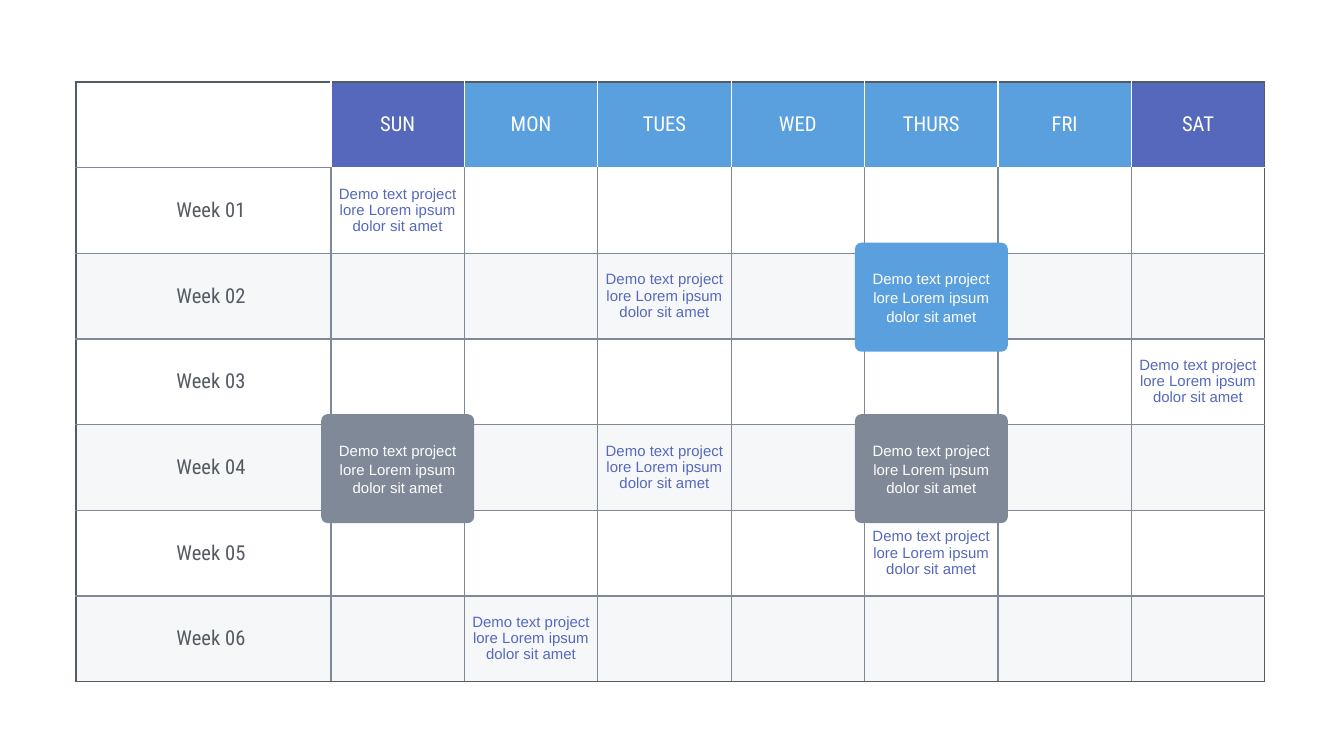
from lxml import etree
from pptx import Presentation
from pptx import util as u
from pptx.dml.color import RGBColor
from pptx.enum import shapes, text
from pptx.oxml.ns import qn

COLORS = {"weekend": "5568BC", "weekday": "5AA0DF", "gray": "7F8998",
          "dark": "545B63", "white": "FFFFFF", "band": "EEF0F4"}
DAYS = ["SUN", "MON", "TUES", "WED", "THURS", "FRI", "SAT"]
WEEKS = [f"Week {number:02}" for number in range(1, 7)]
DEMO = "Demo text project lore Lorem ipsum dolor sit amet"
# Keyed by (week, day), both counted from 1
EVENTS = {(1, 1): DEMO, (2, 3): DEMO, (3, 7): DEMO,
          (4, 3): DEMO, (5, 5): DEMO, (6, 2): DEMO}
CARDS = [(2, 5, "weekday", DEMO), (4, 1, "gray", DEMO), (4, 5, "gray", DEMO)]

LEFT, TOP, WEEK_W, DAYS_W, HEIGHT = 76, 82, 255, 934, 600
CARD_W, CARD_H, CARD_DROP = 153, 109, 1
DAY_W = DAYS_W / len(DAYS)
ROW_H = HEIGHT / (len(WEEKS) + 1)


def px(value):
    return u.Emu(round(value * 914400 / 134.4))


def rgb(name):
    return RGBColor.from_string(COLORS[name])


def write(frame, content, *, color, size=8, font="Arial", spacing=1.0):
    paragraph = frame.paragraphs[0]
    paragraph.alignment = text.PP_ALIGN.CENTER
    paragraph.line_spacing = spacing
    run = paragraph.add_run()
    run.text = content
    run.font.size, run.font.name = u.Pt(size), font
    run.font.color.rgb = rgb(color)


def set_margins(target, left, top, right, bottom):
    target.margin_left, target.margin_top = px(left), px(top)
    target.margin_right, target.margin_bottom = px(right), px(bottom)


def edge_colors(row, col):
    """Outer edges are dark, those inside the header white, the rest gray."""
    inside = "white" if row == 0 else "gray"
    below = "white" if row == 0 and col else "gray"
    above = "white" if row == 1 and col else "gray"
    return {"lnL": "dark" if col == 0 else inside,
            "lnR": "dark" if col == len(DAYS) else inside,
            "lnT": "dark" if row == 0 else above,
            "lnB": "dark" if row == len(WEEKS) else below}


def set_borders(cell, edges):
    properties = cell._tc.get_or_add_tcPr()
    for position, (tag, color) in enumerate(edges.items()):
        line = etree.Element(qn(f"a:{tag}"), w=str(u.Pt(0.75)))
        fill = etree.SubElement(line, qn("a:solidFill"))
        etree.SubElement(fill, qn("a:srgbClr"), val=COLORS[color])
        properties.insert(position, line)


def fill_cell(cell, row, col):
    if row == 0 and col:
        cell.fill.solid()
        cell.fill.fore_color.rgb = rgb("weekend" if col in (1, 7) else "weekday")
    elif row and row % 2 == 0:
        cell.fill.solid()
        cell.fill.fore_color.rgb = rgb("band")
        band = cell._tc.tcPr.find(".//" + qn("a:srgbClr"))
        etree.SubElement(band, qn("a:alpha"), val="50000")
    else:
        cell.fill.background()


def add_calendar(slide):
    table = slide.shapes.add_table(
        len(WEEKS) + 1, len(DAYS) + 1,
        px(LEFT), px(TOP), px(WEEK_W + DAYS_W), px(HEIGHT)).table
    table.first_row = table.horz_banding = False
    for col, column in enumerate(table.columns):
        column.width = px(DAY_W if col else WEEK_W)
    for row, line in enumerate(table.rows):
        line.height = px(ROW_H)
        for col, cell in enumerate(line.cells):
            fill_cell(cell, row, col)
            set_borders(cell, edge_colors(row, col))
            cell.vertical_anchor = text.MSO_ANCHOR.MIDDLE
            set_margins(cell, 20 if row and col == 0 else 5, 3, 5, 3)
            if row == 0 and col:
                write(cell.text_frame, DAYS[col - 1], color="white",
                      size=11, font="Roboto Condensed")
            elif row and col == 0:
                write(cell.text_frame, WEEKS[row - 1], color="dark",
                      size=11, font="Roboto Condensed")
            elif (row, col) in EVENTS:
                write(cell.text_frame, EVENTS[row, col], color="weekend",
                      spacing=0.96)


def add_card(slide, week, day, color, content):
    """Centre a card over the cell of its week and day."""
    center_x = LEFT + WEEK_W + (day - 0.5) * DAY_W
    center_y = TOP + (week + 0.5) * ROW_H + CARD_DROP
    card = slide.shapes.add_shape(
        shapes.MSO_SHAPE.ROUNDED_RECTANGLE,
        px(center_x - CARD_W / 2), px(center_y - CARD_H / 2),
        px(CARD_W), px(CARD_H))
    card.adjustments[0] = 0.06
    card.shadow.inherit = False
    card.fill.solid()
    card.fill.fore_color.rgb = rgb(color)
    card.line.fill.background()
    frame = card.text_frame
    frame.word_wrap = True
    frame.vertical_anchor = text.MSO_ANCHOR.MIDDLE
    set_margins(frame, 3, 3, 3, 3)
    write(frame, content, color="white", spacing=1.05)


def main():
    deck = Presentation()
    deck.slide_width, deck.slide_height = px(1344), px(756)
    slide = deck.slides.add_slide(deck.slide_layouts[6])
    add_calendar(slide)
    for card in CARDS:
        add_card(slide, *card)
    deck.save("out.pptx")


if __name__ == "__main__":
    main()
